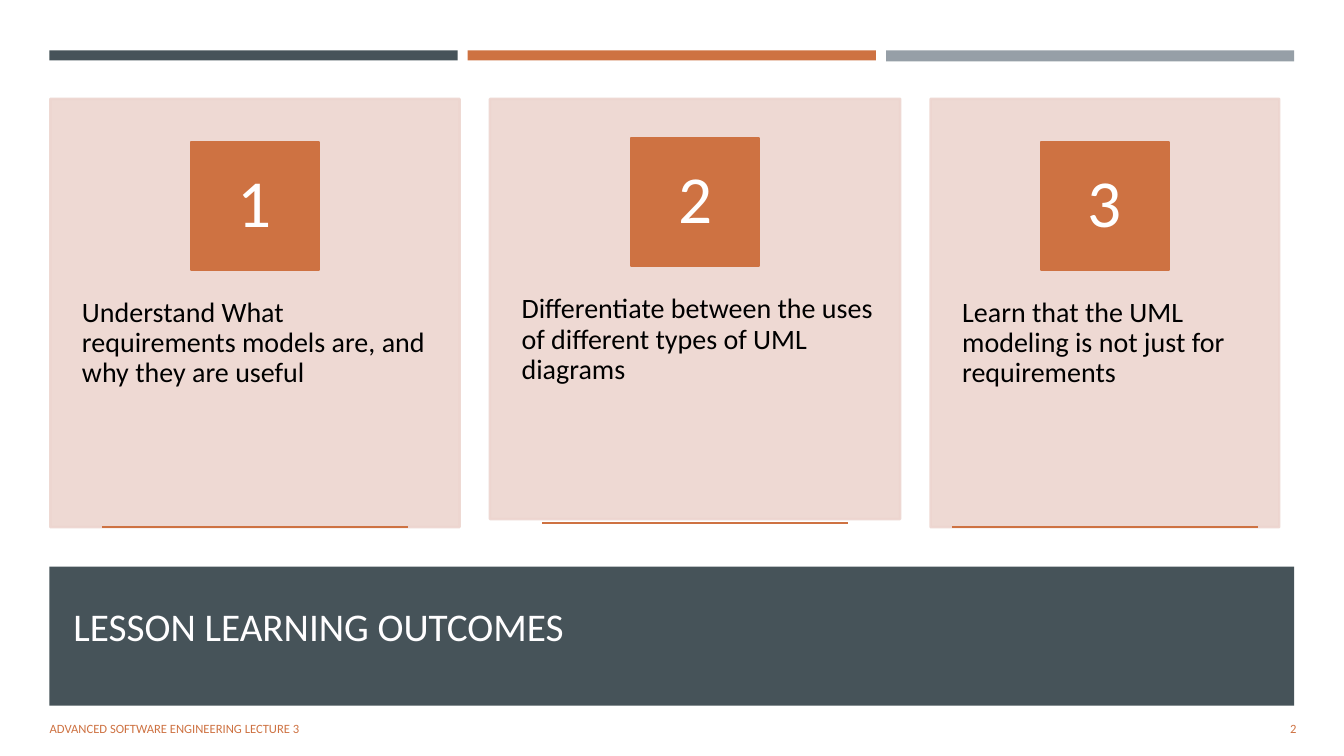
from lxml import etree
from pptx import Presentation
from pptx import util as u
from pptx.dml.color import RGBColor
from pptx.enum import shapes, text
from pptx.oxml import ns

COLORS = {"white": "FFFFFF", "title": "FFFEFF", "slate": "465359", "orange": "CE7242",
          "gray": "969FA7", "pink": "EDD5CF", "black": "000000"}
TITLE = "LESSON LEARNING OUTCOMES"
FOOTER = "ADVANCED SOFTWARE ENGINEERING LECTURE 3"
PAGE_NUMBER = "2"
BARS = [("slate", 7.2), ("orange", 7.2), ("gray", 7.9)]
OUTCOMES = [
    {"text": "Understand What requirements models are, and why they are useful",
     "width": 292.3, "height": 306, "badge_top": 101.5, "rule_y": 376.6},
    {"text": "Differentiate between the uses of different types of UML diagrams",
     "width": 293, "height": 300.2, "badge_top": 98.6, "rule_y": 373.7},
    {"text": "Learn that the UML modeling is not just for requirements",
     "width": 249.1, "height": 306, "badge_top": 101.5, "rule_y": 376.6},
]
LEFT, BAR_TOP, BAR_WIDTH, BAR_STEP = 35.3, 36, 291.6, 298.8
CARD_LEFT, CARD_TOP, CARD_GAP = 36, 70.6, 21.7
BADGE, RULE_WIDTH, LINE_WIDTH = 91.4, 218.2, 1.75
LEFT_ALIGN, CENTER, RIGHT = text.PP_ALIGN.LEFT, text.PP_ALIGN.CENTER, text.PP_ALIGN.RIGHT
TOP, MIDDLE = text.MSO_ANCHOR.TOP, text.MSO_ANCHOR.MIDDLE


def rgb(name):
    return RGBColor.from_string(COLORS[name])


def points(*values):
    return [u.Pt(value) for value in values]


def add_box(slide, box, color, outlined=False, opacity=None):
    shape = slide.shapes.add_shape(shapes.MSO_SHAPE.RECTANGLE, *points(*box))
    shape.shadow.inherit = False
    shape.fill.solid()
    shape.fill.fore_color.rgb = rgb(color)
    if outlined:
        shape.line.color.rgb = rgb(color)
        shape.line.width = u.Pt(LINE_WIDTH)
    else:
        shape.line.fill.background()
    if opacity:
        for element in shape._element.spPr.iter(ns.qn("a:srgbClr")):
            etree.SubElement(element, ns.qn("a:alpha"), val=str(opacity * 1000))
    return shape


def write(shape, words, size, color, align=LEFT_ALIGN, anchor=MIDDLE,
          margins=(7.2, 3.6, 7.2, 3.6), paragraph_format=None):
    frame = shape.text_frame
    sides = ("margin_left", "margin_top", "margin_right", "margin_bottom")
    frame_format = {"word_wrap": True, "vertical_anchor": anchor, **dict(zip(sides, points(*margins)))}
    paragraph = frame.paragraphs[0]
    run = paragraph.add_run()
    run.text = words
    run.font.color.rgb = rgb(color)
    formats = [(frame, frame_format),
               (paragraph, {"alignment": align, **(paragraph_format or {})}),
               (run.font, {"name": "Calibri", "size": u.Pt(size)})]
    for target, values in formats:
        for name, value in values.items():
            setattr(target, name, value)


def add_text(slide, box, *content, **options):
    write(slide.shapes.add_textbox(*points(*box)), *content, **options)


def add_rule(slide, center, y):
    half = RULE_WIDTH / 2
    rule = slide.shapes.add_connector(
        shapes.MSO_CONNECTOR.STRAIGHT, *points(center - half, y, center + half, y))
    rule.line.color.rgb = rgb("orange")
    rule.line.width = u.Pt(LINE_WIDTH)
    etree.SubElement(rule._element.spPr, ns.qn("a:effectLst"))


def add_outcome(slide, number, left, outcome):
    width, height = outcome["width"], outcome["height"]
    center = left + width / 2
    tight = {"line_spacing": 0.9}
    add_box(slide, (left, CARD_TOP, width, height), "pink", outlined=True, opacity=90)
    add_text(slide, (left, CARD_TOP + 0.38 * height, width, 0.6 * height), outcome["text"],
             20, "black", anchor=TOP, margins=(22.6, 25.9, 17.3, 25.9), paragraph_format=tight)
    badge = add_box(slide, (center - BADGE / 2, outcome["badge_top"], BADGE, BADGE),
                    "orange", outlined=True)
    write(badge, str(number), 48, "white", align=CENTER, margins=(7.2, 0.7, 7.2, 0.7),
          paragraph_format=tight)
    add_rule(slide, center, outcome["rule_y"])


def main():
    """Build the lesson learning outcomes slide."""
    presentation = Presentation()
    presentation.slide_width, presentation.slide_height = points(960, 540)
    slide = presentation.slides.add_slide(presentation.slide_layouts[6])
    add_box(slide, (LEFT, 404.8, 889.2, 99.2), "slate")
    add_text(slide, (45.4, 409, 868.3, 75.6), TITLE, 28, "title")
    for index, (color, height) in enumerate(BARS):
        add_box(slide, (LEFT + index * BAR_STEP, BAR_TOP, BAR_WIDTH, height), color)
    spaced = {"space_after": u.Pt(6)}
    add_text(slide, (28.4, 506.2, 544.3, 28.8), FOOTER, 9, "orange", paragraph_format=spaced)
    add_text(slide, (850.3, 506.2, 82.8, 28.8), PAGE_NUMBER, 9, "orange", align=RIGHT,
             paragraph_format=spaced)
    left = CARD_LEFT
    for number, outcome in enumerate(OUTCOMES, 1):
        add_outcome(slide, number, left, outcome)
        left += outcome["width"] + CARD_GAP
    presentation.save("out.pptx")


if __name__ == "__main__":
    main()
